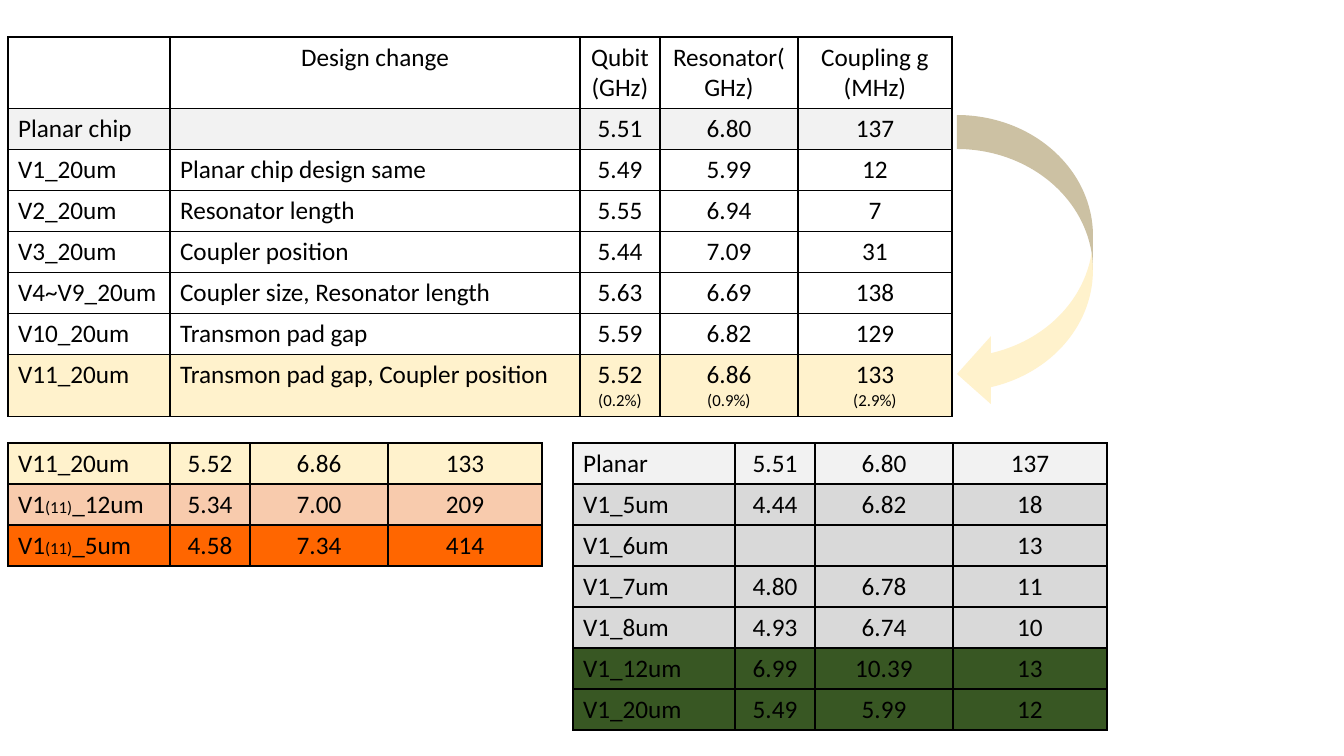
from lxml.etree import SubElement
from pptx import Presentation
from pptx.dml.color import RGBColor
from pptx.enum.shapes import MSO_SHAPE as Shape
from pptx.enum.text import PP_ALIGN as Align
from pptx.oxml.ns import qn
from pptx.util import Emu, Pt

EMU_PER_PX = 914400 / 100.8
FONT = "Calibri"
BLACK, CREAM, PALE_GREY = "000000", "FFF2CC", "F2F2F2"
GREY, PEACH, ORANGE, GREEN = "D9D9D9", "F8CBAD", "FF6600", "385723"
ROW_HEIGHT = 41
NAME_WIDTH, CHANGE_WIDTH = 162, 410
VALUE_WIDTHS = [80, 138, 154]

# Each row is its fill and its cells; text between bars is set small
DESIGN_ROWS = [
    (None, ["", "Design change", "Qubit\n(GHz)", "Resonator(GHz)", "Coupling g (MHz)"]),
    (PALE_GREY, ["Planar chip", "", "5.51", "6.80", "137"]),
    (None, ["V1_20um", "Planar chip design same", "5.49", "5.99", "12"]),
    (None, ["V2_20um", "Resonator length", "5.55", "6.94", "7"]),
    (None, ["V3_20um", "Coupler position", "5.44", "7.09", "31"]),
    (None, ["V4~V9_20um", "Coupler size, Resonator length", "5.63", "6.69", "138"]),
    (None, ["V10_20um", "Transmon pad gap", "5.59", "6.82", "129"]),
    (CREAM, ["V11_20um", "Transmon pad gap, Coupler position",
             "5.52\n|(0.2%)|", "6.86\n|(0.9%)|", "133\n|(2.9%)|"]),
]
GAP_ROWS = [
    (CREAM, ["V11_20um", "5.52", "6.86", "133"]),
    (PEACH, ["V1|(11)|_12um", "5.34", "7.00", "209"]),
    (ORANGE, ["V1|(11)|_5um", "4.58", "7.34", "414"]),
]
PLANAR_ROWS = [
    (PALE_GREY, ["Planar", "5.51", "6.80", "137"]),
    (GREY, ["V1_5um", "4.44", "6.82", "18"]),
    (GREY, ["V1_6um", "", "", "13"]),
    (GREY, ["V1_7um", "4.80", "6.78", "11"]),
    (GREY, ["V1_8um", "4.93", "6.74", "10"]),
    (GREEN, ["V1_12um", "6.99", "10.39", "13"]),
    (GREEN, ["V1_20um", "5.49", "5.99", "12"]),
]


def px(length):
    return Emu(round(length * EMU_PER_PX))


def color(hex_string):
    return RGBColor.from_string(hex_string)


def add_borders(cell):
    properties = cell._tc.get_or_add_tcPr()
    for side in ("a:lnL", "a:lnR", "a:lnT", "a:lnB"):
        line = SubElement(properties, qn(side), w=str(Pt(1)))
        fill = SubElement(line, qn("a:solidFill"))
        SubElement(fill, qn("a:srgbClr"), val=BLACK)


def fill_cell(cell, fill):
    if fill:
        cell.fill.solid()
        cell.fill.fore_color.rgb = color(fill)
    else:
        cell.fill.background()


def write_cell(cell, text, align):
    frame = cell.text_frame
    for index, line in enumerate(text.split("\n")):
        paragraph = frame.add_paragraph() if index else frame.paragraphs[0]
        paragraph.alignment = align
        for part, piece in enumerate(line.split("|")):
            if piece:
                run = paragraph.add_run()
                run.text = piece
                run.font.name = FONT
                run.font.size = Pt(12 if part % 2 else 18)
                run.font.color.rgb = color(BLACK)


def add_grid(slide, left, top, widths, heights, rows, text_columns=1, header=False):
    table = slide.shapes.add_table(
        len(rows), len(widths), px(left), px(top),
        px(sum(widths)), px(sum(heights))).table
    table.first_row = table.horz_banding = False
    for column, width in zip(table.columns, widths):
        column.width = px(width)
    for row, height in zip(table.rows, heights):
        row.height = px(height)
    for row_index, (fill, texts) in enumerate(rows):
        for column_index, text in enumerate(texts):
            cell = table.cell(row_index, column_index)
            centered = column_index >= text_columns or (header and row_index == 0)
            write_cell(cell, text, Align.CENTER if centered else Align.LEFT)
            add_borders(cell)
            fill_cell(cell, fill)


def add_curved_arrow(slide, left, top, width, height, fill):
    shape = slide.shapes.add_shape(
        Shape.CURVED_LEFT_ARROW, px(left), px(top), px(width), px(height))
    shape.shadow.inherit = False
    shape.fill.solid()
    shape.fill.fore_color.rgb = color(fill)
    shape.line.fill.background()


def main():
    presentation = Presentation()
    presentation.slide_width, presentation.slide_height = px(1344), px(756)
    slide = presentation.slides.add_slide(presentation.slide_layouts[6])

    # Design history, with an arrow from the planar chip to its match
    add_grid(slide, 8, 37, [NAME_WIDTH, CHANGE_WIDTH, *VALUE_WIDTHS],
             [71, *[ROW_HEIGHT] * 6, 62], DESIGN_ROWS, text_columns=2, header=True)
    add_curved_arrow(slide, 957, 115, 136, 293, CREAM)

    # Comparisons by gap
    for left, rows in ((8, GAP_ROWS), (573, PLANAR_ROWS)):
        add_grid(slide, left, 443, [NAME_WIDTH, *VALUE_WIDTHS],
                 [ROW_HEIGHT] * len(rows), rows)

    presentation.save("out.pptx")


if __name__ == "__main__":
    main()
